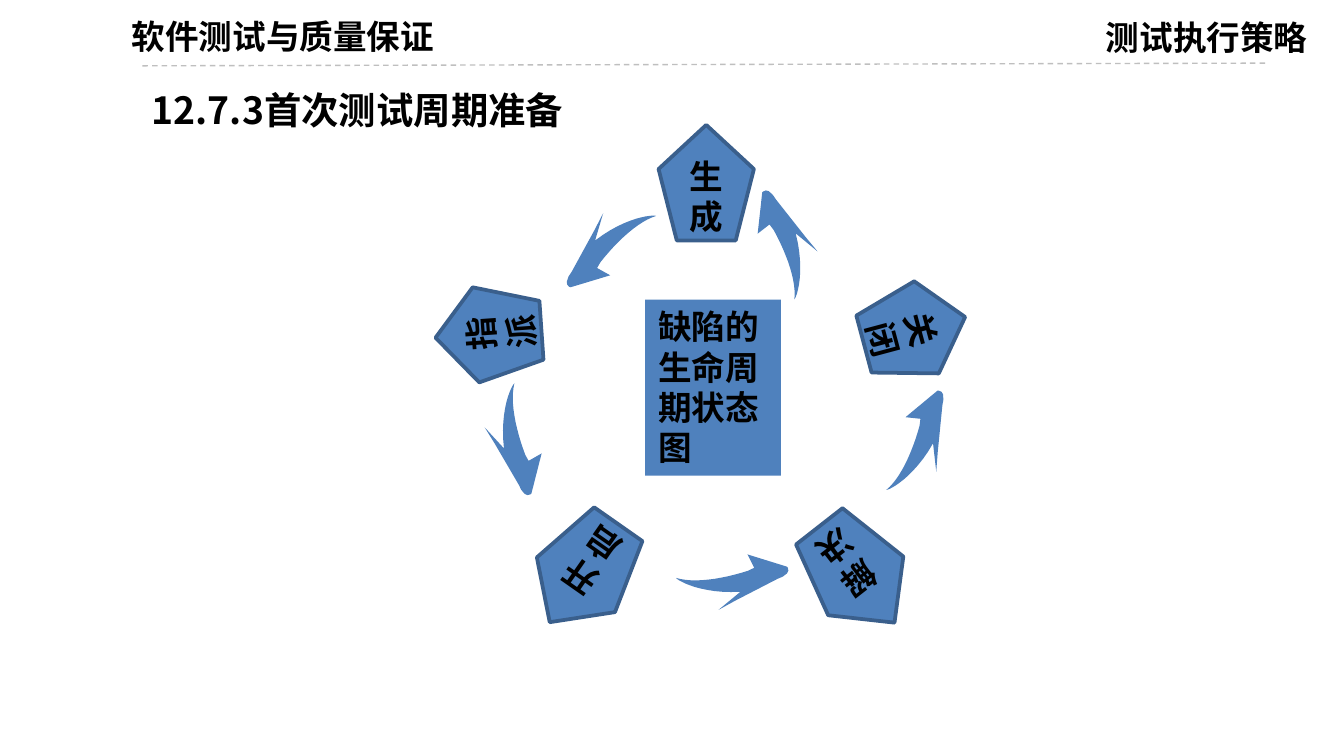
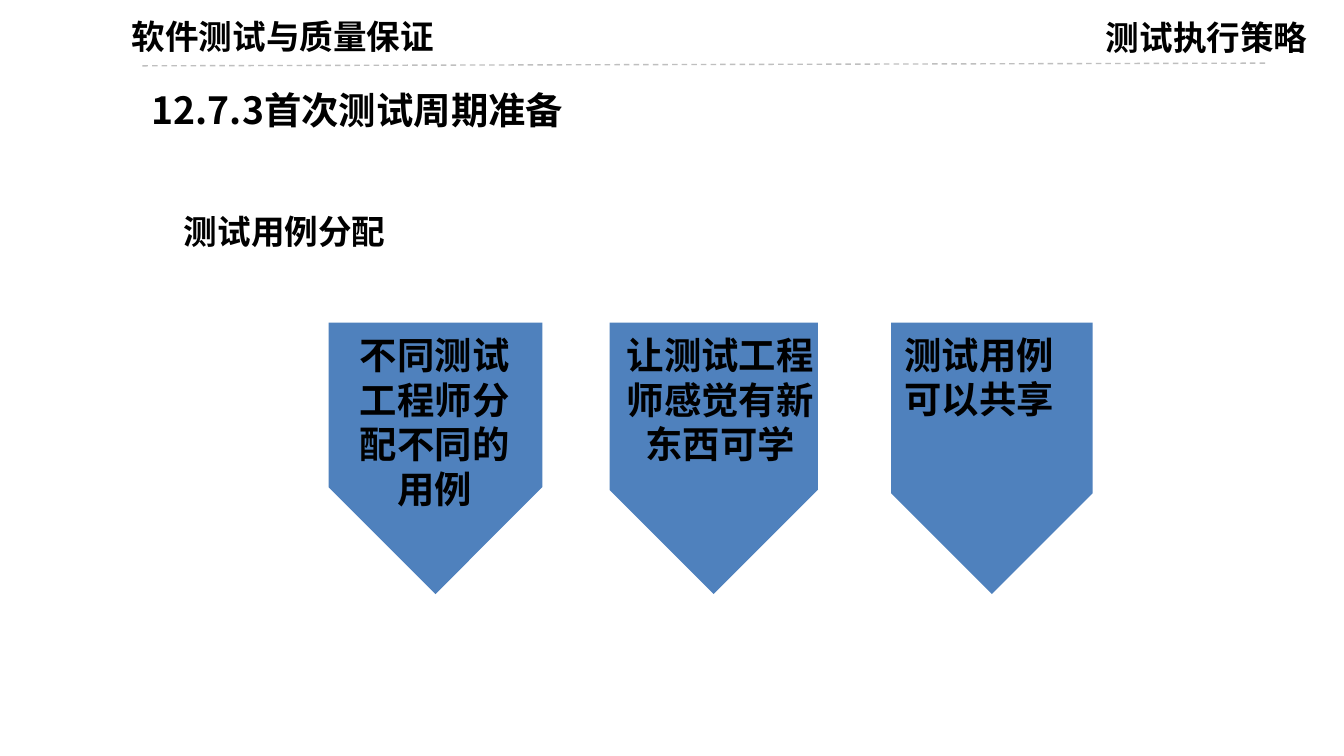
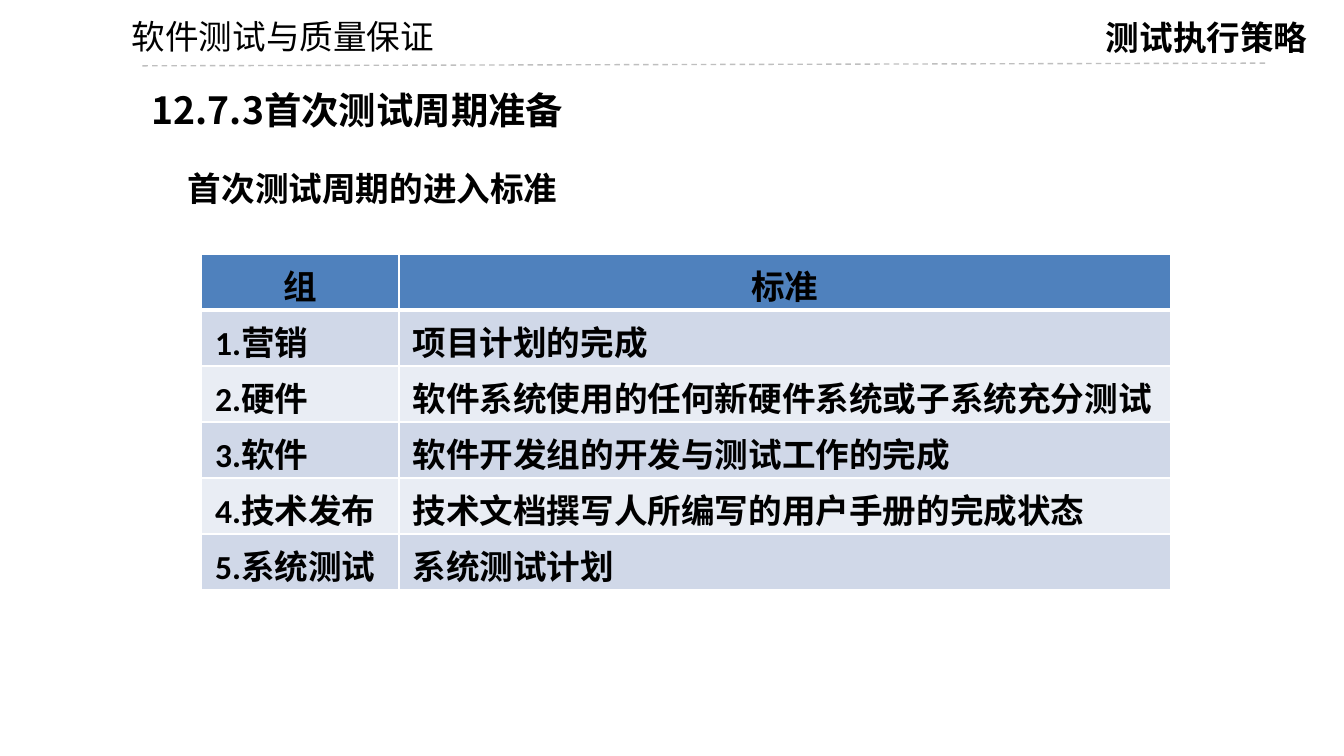
"""Build three slides on preparing the first test cycle."""
from lxml.etree import SubElement
from pptx import Presentation
from pptx.dml.color import RGBColor
from pptx.enum.dml import MSO_LINE
from pptx.enum.shapes import MSO_CONNECTOR, MSO_SHAPE
from pptx.enum.text import MSO_ANCHOR, MSO_AUTO_SIZE, PP_ALIGN
from pptx.oxml.ns import qn
from pptx.util import Inches, Pt

COLORS = {"text": "000000", "blue": "4F81BD", "edge": "3A5F8C", "rule": "BFBFBF",
          "odd": "D0D8E8", "even": "E9EDF4", "white": "FFFFFF"}
RGB = {name: RGBColor.from_string(value) for name, value in COLORS.items()}
CJK = "Noto Sans CJK SC"
LEFT, CENTER = PP_ALIGN.LEFT, PP_ALIGN.CENTER


def write(tf, text, align=LEFT, level=0, **style):
    p = tf.paragraphs[0]
    p.alignment, p.level = align, level
    r = p.add_run()
    r.text = text
    font = {"name": "Calibri", "size": Pt(18), "bold": True} | style
    for key, value in font.items():
        setattr(r.font, key, value)
    r.font.color.rgb = RGB["text"]


def add_text(s, box, text, wrap=True, **style):
    tf = s.shapes.add_textbox(*map(Inches, box)).text_frame
    tf.word_wrap, tf.auto_size = wrap, MSO_AUTO_SIZE.SHAPE_TO_FIT_TEXT
    write(tf, text, **style)


prs = Presentation()
prs.slide_width, prs.slide_height = Inches(10), Inches(10 * 9 / 16)

slides = []
for course_bold in (True, True, False):
    s = prs.slides.add_slide(prs.slide_layouts[5])
    slides.append(s)
    add_text(s, (0.62, 0.07, 2.97, 0.4), "软件测试与质量保证", align=CENTER, name=CJK, bold=course_bold)
    rule = s.shapes.add_connector(MSO_CONNECTOR.STRAIGHT, *map(Inches, (1.06, 0.49, 9.44, 0.47)))
    rule.line.color.rgb, rule.line.width = RGB["rule"], Pt(0.75)
    rule.line.dash_style = MSO_LINE.DASH
    SubElement(rule._element.spPr, qn("a:effectLst"))
    add_text(s, (8.13, 0.08, 1.81, 0.4), "测试执行策略")
    title = s.shapes.title
    title.left, title.top, title.width, title.height = map(Inches, (0.89, 0.6, 3.54, 0.44))
    tf = title.text_frame
    tf.word_wrap, tf.auto_size, tf.vertical_anchor = True, MSO_AUTO_SIZE.NONE, MSO_ANCHOR.TOP
    write(tf, "12.7.3首次测试周期准备", align=CENTER, name=CJK, size=Pt(20))

cycle, cases, entry = slides

STATES = [("生成", 4.9, 0.93, 0.86, 0), ("开启", 3.99, 3.82, 0.89, 215), ("指派", 3.28, 2.09, 0.79, 266),
          ("解决", 6.02, 3.82, 0.91, 142), ("关闭", 6.45, 2.07, 0.78, 75)]
for text, left, top, height, angle in STATES:
    sp = cycle.shapes.add_shape(MSO_SHAPE.REGULAR_PENTAGON, *map(Inches, (left, top, 0.71, height)))
    sp.rotation, sp.shadow.inherit = angle, False
    sp.fill.solid()
    sp.fill.fore_color.rgb = RGB["blue"]
    sp.line.color.rgb, sp.line.width = RGB["edge"], Pt(2)
    sp.text_frame.word_wrap, sp.text_frame.vertical_anchor = True, MSO_ANCHOR.MIDDLE
    write(sp.text_frame, text, align=CENTER)

hub = cycle.shapes.add_shape(MSO_SHAPE.RECTANGLE, *map(Inches, (4.8, 2.23, 1.01, 1.31)))
hub.shadow.inherit = False
hub.fill.solid()
hub.fill.fore_color.rgb = RGB["blue"]
hub.line.fill.background()
hub.text_frame.word_wrap, hub.text_frame.vertical_anchor = True, MSO_ANCHOR.TOP
write(hub.text_frame, "缺陷的生命周期状态图")

OUTER = [(0.37, 0.39), (0.21, 0.63), (0.03, 0.71), (0, 0.71)]
INNER = [(0, 0.71), (0.11, 0.63), (0.21, 0.45), (0.28, 0.25)]
outline = [(0.44, 0), (0.46, 0.01), (0.47, 0.03), (0.47, 0.07), (0.46, 0.11),
           (0.4, 0.46), (0.38, 0.6), (0.37, 0.37)]
for curve in (OUTER, INNER):
    for step in range(13):
        t = step / 12
        weights = ((1 - t) ** 3, 3 * t * (1 - t) ** 2, 3 * t ** 2 * (1 - t), t ** 3)
        outline.append(tuple(sum(w * pt[axis] for w, pt in zip(weights, curve)) for axis in (0, 1)))
outline += [(0.29, 0.2), (0.18, 0.18), (0.43, 0)]
points = [(Inches(x), Inches(y)) for x, y in outline]

ARROWS = [(4.31, 1.51, 199), (3.64, 2.92, 140), (5.22, 3.92, 53), (6.57, 2.92, 356), (5.57, 1.46, 312)]
for left, top, angle in ARROWS:
    builder = cycle.shapes.build_freeform(*points[0])
    builder.add_line_segments(points[1:], close=True)
    arrow = builder.convert_to_shape(Inches(left), Inches(top))
    arrow.rotation, arrow.shadow.inherit = angle, False
    arrow.fill.solid()
    arrow.fill.fore_color.rgb = RGB["blue"]
    arrow.line.fill.background()

BANNERS = [(1.59, 2.48, 1.51, 1.78, CENTER, "不同测试工程师分配不同的 用例"),
           (1.55, 4.53, 1.66, 1.45, CENTER, "让测试工程师感觉有新东西可学"),
           (1.5, 6.63, 1.51, 0.77, LEFT, "测试用例可以共享")]
for i, (breadth, left, width, height, align, text) in enumerate(BANNERS):
    box = (2.23 + 2.07 * i, 3.41 - breadth / 2, 2.02, breadth)
    sp = cases.shapes.add_shape(MSO_SHAPE.PENTAGON, *map(Inches, box))
    sp.adjustments[0], sp.rotation, sp.shadow.inherit = 0.5, 90, False
    sp.fill.solid()
    sp.fill.fore_color.rgb = RGB["blue"]
    sp.line.fill.background()
    add_text(cases, (left, 2.42, width, height), text, align=align, name="Arial", size=Pt(20))
add_text(cases, (0.77, 1.52, 2.21, 0.4), "测试用例分配", wrap=False, level=1)

add_text(entry, (0.8, 1.2, 3.47, 0.4), "首次测试周期的进入标准", wrap=False, level=1)
ROWS = [("组", "标准"),
        ("1.营销", "项目计划的完成"),
        ("2.硬件", "软件系统使用的任何新硬件系统或子系统充分测试"),
        ("3.软件", "软件开发组的开发与测试工作的完成"),
        ("4.技术发布", "技术文档撰写人所编写的用户手册的完成状态"),
        ("5.系统测试", "系统测试计划")]
table = entry.shapes.add_table(len(ROWS), 2, *map(Inches, (1.5, 1.89, 7.21, 2.5))).table
for column, width in zip(table.columns, (1.47, 5.74)):
    column.width = Inches(width)
for i, row in enumerate(ROWS):
    fill = "blue" if i == 0 else "odd" if i % 2 else "even"
    edges = {"L": 1, "R": 1, "T": 3 if i == 1 else 1, "B": 3 if i == 0 else 1}
    for j, text in enumerate(row):
        cell = table.cell(i, j)
        tcPr = cell._tc.get_or_add_tcPr()
        for side, weight in edges.items():
            ln = SubElement(tcPr, qn(f"a:ln{side}"), w=str(Pt(weight)))
            SubElement(SubElement(ln, qn("a:solidFill")), qn("a:srgbClr"), val=COLORS["white"])
        cell.fill.solid()
        cell.fill.fore_color.rgb = RGB[fill]
        write(cell.text_frame, text, align=LEFT if i else CENTER)

prs.save("out.pptx")
